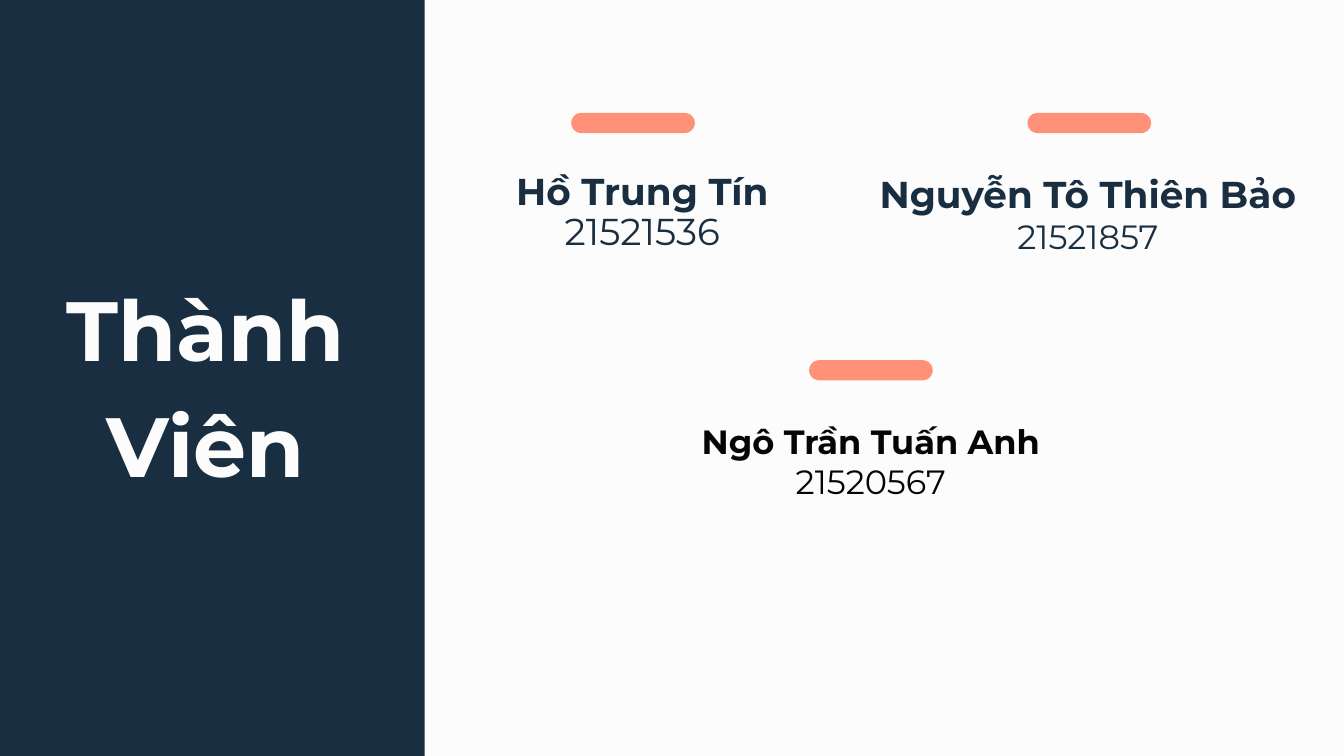
from pptx import Presentation
from pptx.dml.color import RGBColor
from pptx.enum.shapes import MSO_SHAPE as Shape
from pptx.enum.text import MSO_ANCHOR as Anchor, MSO_AUTO_SIZE as AutoSize, PP_ALIGN as Align
from pptx.util import Inches, Pt

COLORS = {"navy": "192E40", "paper": "FCFCFC", "coral": "FF9179", "black": "050505"}
FONT = "Montserrat"
WIDTH = 10
HEIGHT = WIDTH * 9 / 16
COLUMN = WIDTH / 100
MEMBER_HEIGHT = 1.2
BAR_WIDTH, BAR_HEIGHT, BAR_RISE = 0.92, 0.15, 0.15

MEMBERS = [
    ("Hồ Trung Tín ", "21521536", 34, 27.6, 0.99, -0.07, (20, 20), 0.9, "navy"),
    ("Nguyễn Tô Thiên Bảo ", "21521857", 62.8, 36.3, 0.99, 0.01, (20, 18), 1.0, "navy"),
    ("Ngô Trần Tuấn Anh ", "21520567", 50.3, 29, 2.83, 0, (18, 18), 1.0, "black"),
]


def rgb(name):
    """Return the named color."""
    return RGBColor.from_string(COLORS[name])


def add_block(slide, kind, box, color):
    """Add a plain filled shape in the box."""
    shape = slide.shapes.add_shape(kind, *map(Inches, box))
    shape.shadow.inherit = False
    shape.fill.solid()
    shape.fill.fore_color.rgb = rgb(color)
    shape.line.fill.background()
    return shape


def format_text(shape, color, spacing):
    """Center the text of a shape and return its paragraph."""
    frame = shape.text_frame
    frame.word_wrap = True
    frame.auto_size = AutoSize.NONE
    frame.vertical_anchor = Anchor.MIDDLE
    frame.margin_left = frame.margin_right = Inches(0.1)
    frame.margin_top = frame.margin_bottom = Inches(0.1)
    paragraph = frame.paragraphs[0]
    paragraph.alignment = Align.CENTER
    paragraph.line_spacing = spacing
    paragraph.font.name = FONT
    paragraph.font.color.rgb = rgb(color)
    return paragraph


def add_title_panel(slide, box):
    """Fill the left panel and center the slide title on it."""
    left, top, width, height = box
    add_block(slide, Shape.RECTANGLE, box, "navy")
    title = slide.shapes.title
    slide.shapes._spTree.append(title._element)
    title.left, title.top = Inches(left - 0.08), Inches(top - 0.07)
    title.width, title.height = Inches(width + 0.06), Inches(height + 0.15)
    title.text_frame.text = "Thành Viên"
    paragraph = format_text(title, "paper", 1.15)
    paragraph.font.size = Pt(45)
    paragraph.font.bold = True


def add_member(slide, box, name, number, bar_shift, sizes, spacing, color):
    """Place a member's name and number in the box, with a bar above."""
    left, top, width, height = box
    bar_left = left + (width - BAR_WIDTH) / 2 + bar_shift
    bar_box = (bar_left, top - BAR_RISE, BAR_WIDTH, BAR_HEIGHT)
    bar = add_block(slide, Shape.ROUNDED_RECTANGLE, bar_box, "coral")
    bar.adjustments[0] = 0.5
    label = slide.shapes.add_textbox(*map(Inches, box))
    paragraph = format_text(label, color, spacing)
    for text, size, bold in zip((name, number), sizes, (True, False)):
        run = paragraph.add_run()
        run.text = text
        run.font.size = Pt(size)
        run.font.bold = bold


def main():
    """Build the members slide."""
    presentation = Presentation()
    presentation.slide_width, presentation.slide_height = Inches(WIDTH), Inches(HEIGHT)
    slide = presentation.slides.add_slide(presentation.slide_layouts[5])
    slide.background.fill.solid()
    slide.background.fill.fore_color.rgb = rgb("paper")
    add_title_panel(slide, (0, 0, 31.6 * COLUMN, HEIGHT))
    for name, number, left, width, top, *style in MEMBERS:
        box = (left * COLUMN, top, width * COLUMN, MEMBER_HEIGHT)
        add_member(slide, box, name, number, *style)
    presentation.save("out.pptx")


if __name__ == "__main__":
    main()
